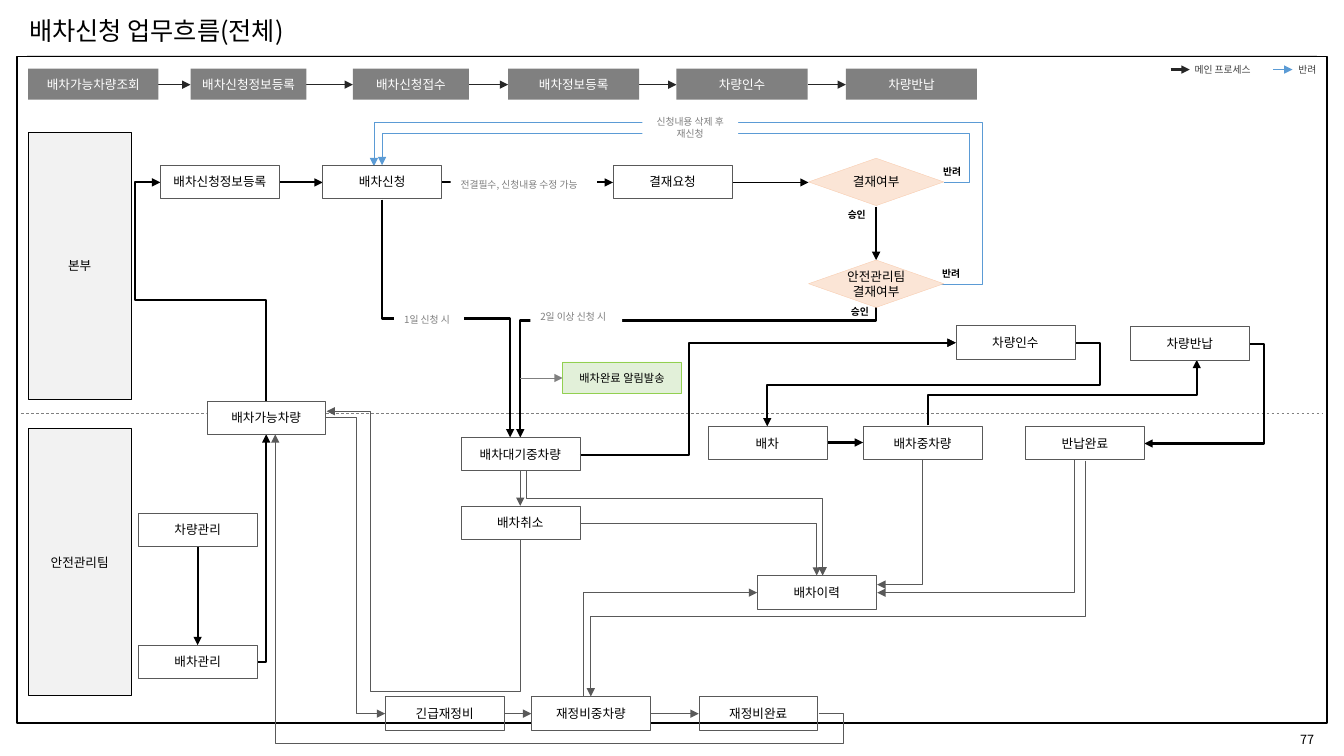
from dataclasses import dataclass
from typing import Optional

import pptx
import pptx.dml.color
import pptx.enum.dml
import pptx.enum.shapes
import pptx.enum.text
import pptx.oxml
import pptx.oxml.ns
import pptx.util

Inches, Pt = pptx.util.Inches, pptx.util.Pt
MSO = pptx.enum.shapes.MSO_SHAPE
CONN = pptx.enum.shapes.MSO_CONNECTOR
ALIGN = pptx.enum.text.PP_ALIGN
ANCHOR = pptx.enum.text.MSO_ANCHOR
qn = pptx.oxml.ns.qn

FONT = "Noto Sans CJK KR"
BLACK, GRAY, DARK, BLUE, MID = "000000", "595959", "262626", "5B9BD5", "808080"
NODE_W, NODE_H = 1.18, 0.33
STEP_Y, STEP_H = 0.68, 0.31


@dataclass
class Node:
    text: str
    x: float
    y: float
    w: float = NODE_W
    h: float = NODE_H
    fill: Optional[str] = "FFFFFF"
    line: Optional[str] = GRAY
    size: float = 9
    kind: int = MSO.RECTANGLE
    color: str = BLACK
    wrap: bool = True


@dataclass
class Label:
    text: str
    x: float
    y: float
    w: float
    h: float = 0.22
    size: float = 7
    color: str = BLACK
    bold: bool = False
    fill: Optional[str] = None
    align: int = ALIGN.LEFT
    wrap: bool = False
    anchor: int = ANCHOR.TOP


@dataclass
class Arrow:
    start: tuple
    end: tuple
    color: str = BLACK
    width: float = 1.5
    axis: str = ""        # direction of the first leg; empty means straight
    bends: tuple = ()     # coordinates of the turns, axes alternating
    head: bool = True
    dash: bool = False


def rgb(value: str) -> pptx.dml.color.RGBColor:
    return pptx.dml.color.RGBColor.from_string(value)


def sub(parent, tag: str, **attrs: str):
    el = pptx.oxml.parse_xml(
        f'<{tag} xmlns:a="http://schemas.openxmlformats.org/drawingml/2006/main"/>')
    for key, value in attrs.items():
        el.set(key, value)
    parent.append(el)
    return el


def write(sp, text: str, size: float, color: str, align: int, bold: bool = False) -> None:
    tf = sp.text_frame
    tf.text = text
    for p in tf.paragraphs:
        p.alignment = align
        for r in p.runs:
            r.font.size, r.font.bold = Pt(size), bold
            r.font.color.rgb = rgb(color)
            r.font.name = FONT
            sub(r._r.get_or_add_rPr(), "a:ea", typeface=FONT)


def draw_node(s, n: Node) -> None:
    sp = s.shapes.add_shape(n.kind, Inches(n.x), Inches(n.y), Inches(n.w), Inches(n.h))
    sp.shadow.inherit = False
    if n.fill:
        sp.fill.solid()
        sp.fill.fore_color.rgb = rgb(n.fill)
    else:
        sp.fill.background()
    if n.line:
        sp.line.color.rgb = rgb(n.line)
        sp.line.width = Pt(0.25)
    else:
        sp.line.fill.background()
    tf = sp.text_frame
    tf.margin_left = tf.margin_right = 0
    tf.word_wrap = n.wrap
    tf.vertical_anchor = ANCHOR.MIDDLE
    write(sp, n.text, n.size, n.color, ALIGN.CENTER)


def draw_label(s, b: Label):
    sp = s.shapes.add_textbox(Inches(b.x), Inches(b.y), Inches(b.w), Inches(b.h))
    if b.fill:
        sp.fill.solid()
        sp.fill.fore_color.rgb = rgb(b.fill)
    sp.text_frame.word_wrap = b.wrap
    sp.text_frame.vertical_anchor = b.anchor
    write(sp, b.text, b.size, b.color, b.align, b.bold)
    return sp


def draw_arrow(s, a: Arrow) -> None:
    (x0, y0), (x1, y1) = a.start, a.end
    dx, dy = x1 - x0, y1 - y0
    turn = 0
    if a.axis == "v":  # an elbow starts sideways, so turn it a quarter
        turn = 270 if dx * dy > 0 else 90
        side = -1 if turn == 270 else 1
        cx, cy = (x0 + x1) / 2, (y0 + y1) / 2
        hw, hh = side * dy / 2, -side * dx / 2
        x0, y0, x1, y1 = cx - hw, cy - hh, cx + hw, cy + hh
    kind = CONN.ELBOW if a.axis else CONN.STRAIGHT
    c = s.shapes.add_connector(kind, Inches(x0), Inches(y0), Inches(x1), Inches(y1))
    c.line.color.rgb = rgb(a.color)
    c.line.width = Pt(a.width)
    if a.dash:
        c.line.dash_style = pptx.enum.dml.MSO_LINE.DASH
    sp_pr = c._element.spPr
    if turn:
        sp_pr.find(qn("a:xfrm")).set("rot", str(turn * 60000))
    if a.axis:
        geom = sp_pr.find(qn("a:prstGeom"))
        geom.set("prst", f"bentConnector{len(a.bends) + 2}")
        legs = [(a.start[0], dx), (a.start[1], dy)]
        if a.axis == "v":
            legs.reverse()
        for i, (bend, (origin, span)) in enumerate(zip(a.bends, legs), 1):
            ratio = round((bend - origin) / span * 100000)
            sub(geom.find(qn("a:avLst")), "a:gd", name=f"adj{i}", fmla=f"val {ratio}")
    if a.head:
        sub(c.line._get_or_add_ln(), "a:tailEnd", type="triangle")
    sub(sp_pr, "a:effectLst")


STEPS = [("배차가능차량조회", 0.28, 1.29), ("배차신청정보등록", 1.89, 1.15),
         ("배차신청접수", 3.5, 1.15), ("배차정보등록", 5.04, 1.3),
         ("차량인수", 6.71, 1.3), ("차량반납", 8.39, 1.3)]

ARROWS = [
    Arrow((0.21, 4.1), (13.12, 4.1), MID, 0.5, head=False, dash=True),
    # Legend
    Arrow((11.61, 0.69), (11.8, 0.69), DARK),
    Arrow((12.63, 0.69), (12.82, 0.69), BLUE, 0.5),
    # Rejections
    Arrow((9.36, 1.81), (3.79, 1.64), BLUE, 0.5, "h", (9.61, 1.32)),
    Arrow((9.27, 2.82), (3.71, 1.65), BLUE, 0.5, "h", (9.74, 1.21)),
    # Main process
    Arrow((2.77, 1.81), (3.2, 1.81)),
    Arrow((4.38, 1.81), (6.08, 1.81)),
    Arrow((7.26, 1.81), (8.02, 1.81), width=1.25),
    Arrow((8.69, 2.05), (8.69, 2.58)),
    Arrow((9.02, 3.4), (9.48, 3.4)),
    Arrow((1.96, 5.42), (1.96, 6.4)),
    Arrow((8.2, 4.39), (8.56, 4.39)),
    Arrow((3.79, 1.98), (5.06, 4.34), axis="v", bends=(3.16,)),
    Arrow((8.69, 3.05), (5.16, 4.34), axis="v", bends=(3.18,)),
    Arrow((12.39, 3.41), (11.35, 4.4), axis="h", bends=(12.54,)),
    Arrow((2.64, 3.98), (1.59, 1.81), axis="v", bends=(2.98, 1.34)),
    Arrow((9.2, 4.22), (11.87, 3.57), axis="v", bends=(3.92,)),
    Arrow((10.66, 3.4), (7.61, 4.23), axis="h", bends=(10.91, 3.82)),
    Arrow((2.55, 6.57), (2.64, 4.31), axis="h"),
    Arrow((5.75, 4.51), (9.48, 3.4), axis="h", bends=(6.83,)),
    # Side flows
    Arrow((5.16, 3.75), (5.58, 3.75), MID, 0.5),
    Arrow((6.45, 7.08), (6.93, 7.08), GRAY, 0.5),
    Arrow((5, 7.08), (5.27, 7.08), GRAY, 0.5),
    Arrow((5.16, 4.67), (5.16, 5.02), GRAY, 0.5),
    Arrow((5.16, 5.36), (3.24, 4.08), GRAY, 0.5, "v", (6.86, 3.67)),
    Arrow((8.12, 7.08), (2.73, 4.31), GRAY, 0.5, "h", (8.37, 7.37)),
    Arrow((10.76, 4.57), (5.86, 6.91), GRAY, 0.5, "v", (6.12,)),
    Arrow((10.66, 4.56), (8.7, 5.88), GRAY, 0.5, "v"),
    Arrow((9.15, 4.47), (8.7, 5.8), GRAY, 0.5, "v"),
    Arrow((5.22, 4.67), (8.16, 5.71), GRAY, 0.5, "v", (4.94,)),
    Arrow((5.75, 5.19), (8.1, 5.71), GRAY, 0.5, "h"),
    Arrow((5.79, 6.91), (7.51, 5.88), GRAY, 0.5, "v"),
    Arrow((3.23, 4.14), (3.82, 7.08), GRAY, 0.5, "h", (3.53,)),
]
# Arrows between the header steps
ARROWS += [Arrow((x + w, 0.84), (nxt, 0.84), DARK, 0.25)
           for (_, x, w), (_, nxt, _) in zip(STEPS, STEPS[1:])]

NODES = [Node(t, x, STEP_Y, w, STEP_H, MID, None, color="FFFFFF", wrap=False)
         for t, x, w in STEPS]
NODES += [Node(t, 0.28, y, 1.02, 2.65, "F2F2F2", BLACK)
          for t, y in (("본부", 1.31), ("안전관리팀", 4.25))]
NODES += [Node(t, 8.02, y, 1.34, 0.47, "FBE5D6", "F8CBAD", kind=MSO.DIAMOND)
          for t, y in (("결재여부", 1.57), ("안전관리팀\n결재여부", 2.58))]
NODES += [Node(t, x, y) for t, x, y in (
    ("배차신청정보등록", 1.59, 1.64), ("배차신청", 3.2, 1.64), ("차량인수", 9.48, 3.23),
    ("차량반납", 11.21, 3.24), ("배차가능차량", 2.05, 3.98), ("배차대기중차량", 4.57, 4.34),
    ("배차취소", 4.57, 5.02), ("배차중차량", 8.56, 4.23), ("반납완료", 10.17, 4.23),
    ("배차이력", 7.51, 5.71), ("배차관리", 1.37, 6.4), ("재정비중차량", 5.27, 6.91))]
NODES += [Node(t, x, y, fill=None) for t, x, y in (
    ("결재요청", 6.08, 1.64), ("배차", 7.02, 4.23), ("차량관리", 1.37, 5.09),
    ("긴급재정비", 3.82, 6.91), ("재정비완료", 6.93, 6.91))]
NODES.append(Node("배차완료 알림발송", 5.58, 3.59, h=0.31, fill="E2F0D9", line="92D050", size=8))

LABELS = [Label(t, x, y, w, h, color=MID, fill="FFFFFF", align=al) for t, x, y, w, h, al in (
    ("1일 신청 시", 3.91, 3.06, 0.69, 0.22, ALIGN.LEFT),
    ("2일 이상 신청 시", 5.26, 3.03, 0.91, 0.22, ALIGN.LEFT),
    ("전결필수, 신청내용 수정 가능", 4.47, 1.72, 1.45, 0.22, ALIGN.LEFT),
    ("신청내용 삭제 후\n재신청", 6.37, 1.1, 0.95, 0.34, ALIGN.CENTER))]
LABELS += [Label("승인", x, y, 0.39, bold=True) for x, y in ((8.31, 2.02), (8.34, 2.98))]
LABELS += [Label("반려", x, y, 0.45, bold=True, align=ALIGN.RIGHT, wrap=True)
           for x, y in ((9.18, 1.59), (9.17, 2.61))]
LABELS += [Label(t, x, 0.58, w, color="404040", wrap=True)
           for t, x, w in (("메인 프로세스", 11.75, 0.83), ("반려", 12.78, 0.41))]
LABELS.append(Label("77", 12.44, 7.18, 0.69, 0.31, 9, align=ALIGN.RIGHT, wrap=True,
                    anchor=ANCHOR.MIDDLE))


def main() -> None:
    prs = pptx.Presentation()
    prs.slide_width, prs.slide_height = Inches(13.33), Inches(7.5)
    s = prs.slides.add_slide(prs.slide_layouts[6])

    # Frame and title
    frame = s.shapes.add_shape(MSO.RECTANGLE, Inches(0.17), Inches(0.56), Inches(12.99), Inches(6.61))
    frame.shadow.inherit = False
    frame.fill.background()
    frame.line.color.rgb = rgb(BLACK)
    frame.line.width = Pt(1.3)
    draw_arrow(s, Arrow((0.27, 0.55), (13.06, 0.55), "D9D9D9", 0.75, head=False))
    title = draw_label(s, Label("배차신청 업무흐름(전체)", 0.19, 0.02, 9, 0.51, 18, wrap=True,
                                anchor=ANCHOR.MIDDLE))
    title.text_frame.paragraphs[0].line_spacing = 1.2

    # Flow
    for arrow in ARROWS:
        draw_arrow(s, arrow)
    for node in NODES:
        draw_node(s, node)
    for label in LABELS:
        draw_label(s, label)
    prs.save("out.pptx")


if __name__ == "__main__":
    main()
